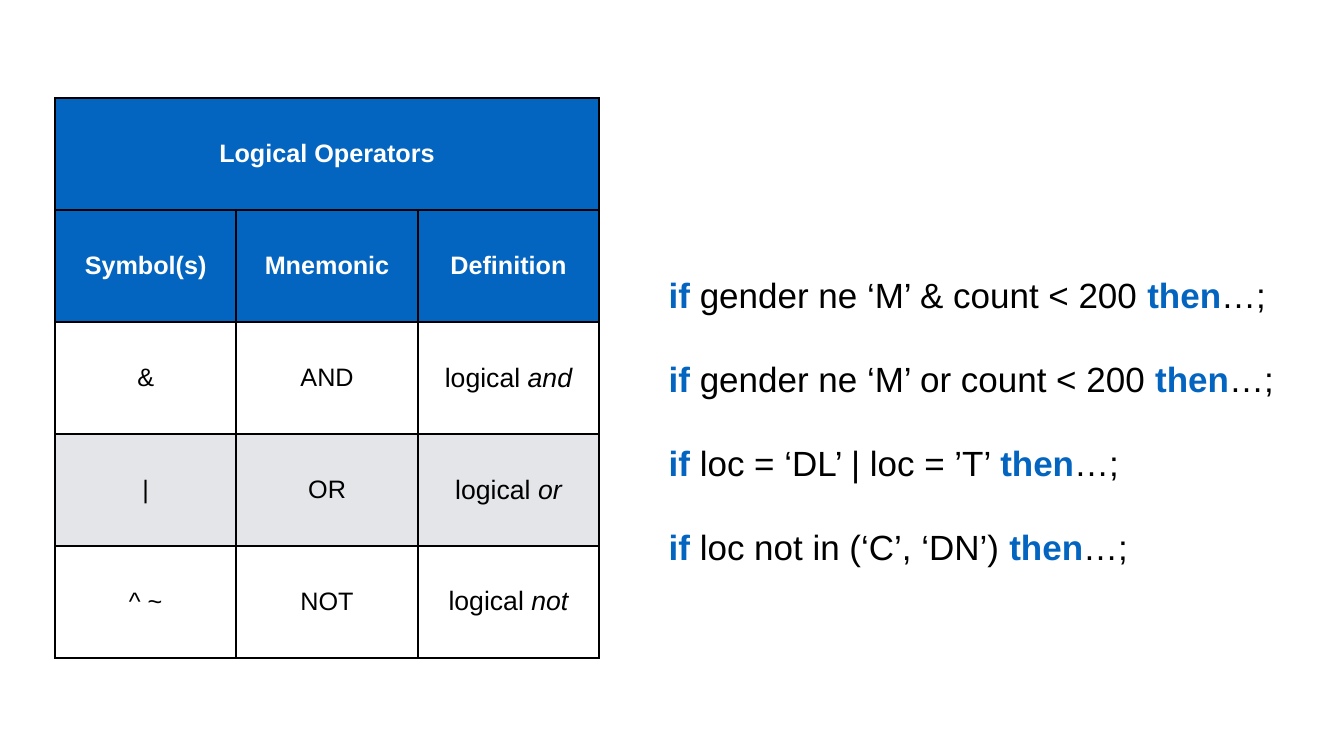
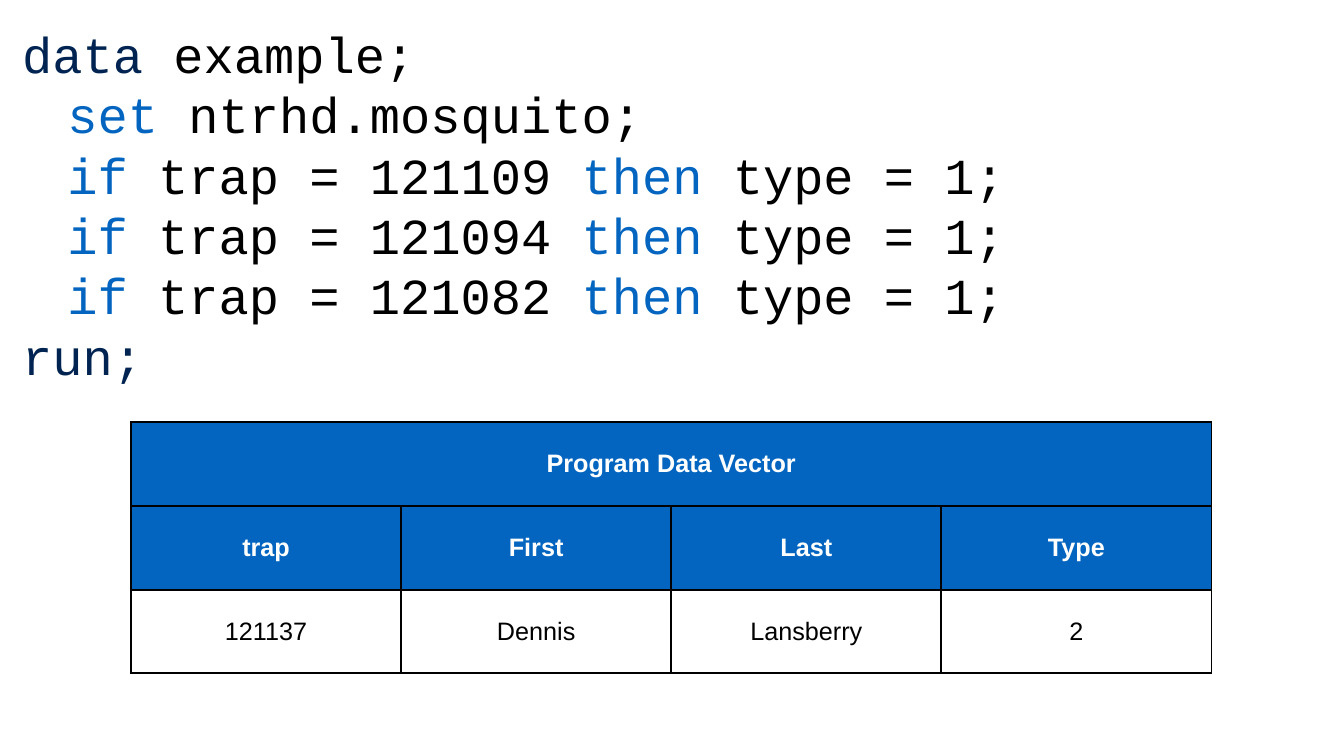
from lxml.etree import SubElement
from pptx import Presentation
from pptx.dml.color import RGBColor
from pptx.enum.text import MSO_ANCHOR, MSO_AUTO_SIZE, PP_ALIGN
from pptx.oxml.ns import qn
from pptx.util import Emu, Pt

# Shared style
BLUE = RGBColor(0x03, 0x65, 0xC0)
NAVY = RGBColor(0x00, 0x24, 0x52)
BLACK = RGBColor(0x00, 0x00, 0x00)
WHITE = RGBColor(0xFF, 0xFF, 0xFF)
GREY = RGBColor(0xE3, 0xE5, 0xE8)
SANS, MONO = "Arial", "Courier New"
INSET, TAB_STOP, BORDER = 6, 90, Pt(3)

# Content: a cell is plain text, or a (plain, italic) pair
OPERATORS = [
    ["Logical Operators"],
    ["Symbol(s)", "Mnemonic", "Definition"],
    ["&", "AND", ("logical ", "and")],
    ["|", "OR", ("logical ", "or")],
    ["^ ~", "NOT", ("logical ", "not")],
]
CONDITIONS = [
    "gender ne ‘M’ & count < 200",
    "gender ne ‘M’ or count < 200",
    "loc = ‘DL’ | loc = ’T’",
    "loc not in (‘C’, ‘DN’)",
]
TRAPS = [121109, 121094, 121082]
VECTOR = [
    ["Program Data Vector"],
    ["trap", "First", "Last", "Type"],
    ["121137", "Dennis", "Lansberry", "2"],
]


def px(n):
    """100 px to the inch."""
    return Emu(n * 9144)


def add_run(p, text, size, font, color, bold=False, italic=False):
    r = p.add_run()
    r.text = text
    f = r.font
    f.size, f.name, f.bold, f.italic = Pt(size), font, bold, italic
    f.color.rgb = color


def if_then(condition, action):
    return [("if", BLUE), (f" {condition} ", BLACK), ("then", BLUE), (action, BLACK)]


def add_code(s, box, lines, size, font, bold_keywords=False, spacing=None):
    """Text box whose lines are lists of (text, colour) runs."""
    tf = s.shapes.add_textbox(*map(px, box)).text_frame
    tf.margin_left = tf.margin_right = tf.margin_top = tf.margin_bottom = px(INSET)
    tf.word_wrap = False
    tf.auto_size = MSO_AUTO_SIZE.SHAPE_TO_FIT_TEXT
    for i, line in enumerate(lines):
        p = tf.add_paragraph() if i else tf.paragraphs[0]
        if spacing:
            p.line_spacing = spacing
        if line[0][0] == "\t":
            tabs = SubElement(p._p.get_or_add_pPr(), qn("a:tabLst"))
            SubElement(tabs, qn("a:tab"), pos=str(px(TAB_STOP)), algn="l")
        for text, color in line:
            add_run(p, text, size, font, color, bold_keywords and color == BLUE)


def style_cell(cell, fill):
    cell.margin_left = cell.margin_right = px(INSET)
    cell.margin_top = cell.margin_bottom = px(INSET)
    cell.vertical_anchor = MSO_ANCHOR.MIDDLE
    tcPr = cell._tc.get_or_add_tcPr()
    for side in ("lnL", "lnR", "lnT", "lnB"):
        ln = SubElement(tcPr, qn(f"a:{side}"), w=str(BORDER))
        SubElement(SubElement(ln, qn("a:solidFill")), qn("a:srgbClr"), val=str(BLACK))
    cell.fill.solid()
    cell.fill.fore_color.rgb = fill


def add_grid(s, left, top, col_width, row_height, rows):
    """Table with a merged title row, a heading row and striped body rows."""
    n_cols = len(rows[1])
    table = s.shapes.add_table(
        len(rows), n_cols, px(left), px(top),
        px(col_width * n_cols), px(row_height * len(rows))).table
    table.horz_banding = False
    for col in table.columns:
        col.width = px(col_width)
    table.cell(0, 0).merge(table.cell(0, n_cols - 1))
    for i, row in enumerate(rows):
        table.rows[i].height = px(row_height)
        header = i < 2
        fill = BLUE if header else GREY if i % 2 else WHITE
        for j in range(n_cols):
            style_cell(table.cell(i, j), fill)
        for j, content in enumerate(row):
            p = table.cell(i, j).text_frame.paragraphs[0]
            p.alignment = PP_ALIGN.CENTER
            if isinstance(content, tuple):
                plain, italic = content
                add_run(p, plain, 38, SANS, BLACK)
                add_run(p, italic, 38, SANS, BLACK, italic=True)
            else:
                add_run(p, content, 36, SANS, WHITE if header else BLACK, header)


def main():
    prs = Presentation()
    prs.slide_width, prs.slide_height = px(2667), px(1500)
    blank = prs.slide_layouts[6]

    # Slide 1: logical operators and sample conditions
    s = prs.slides.add_slide(blank)
    add_grid(s, 109, 195, 360, 222, OPERATORS)
    add_code(s, (1321, 453, 1251, 594), [if_then(c, "…;") for c in CONDITIONS],
             50, SANS, bold_keywords=True, spacing=2.0)

    # Slide 2: data step and its program data vector
    s = prs.slides.add_slide(blank)
    tab = ("\t", BLACK)
    program = [
        [("data", NAVY), (" example;", BLACK)],
        [tab, ("set", BLUE), (" ntrhd.mosquito;", BLACK)],
        *([tab] + if_then(f"trap = {trap}", " type = 1;") for trap in TRAPS),
        [("run;", NAVY)],
    ]
    add_code(s, (38, 39, 2023, 694), program, 72, MONO)
    add_grid(s, 260, 838, 536, 166, VECTOR)

    prs.save("out.pptx")


if __name__ == "__main__":
    main()
